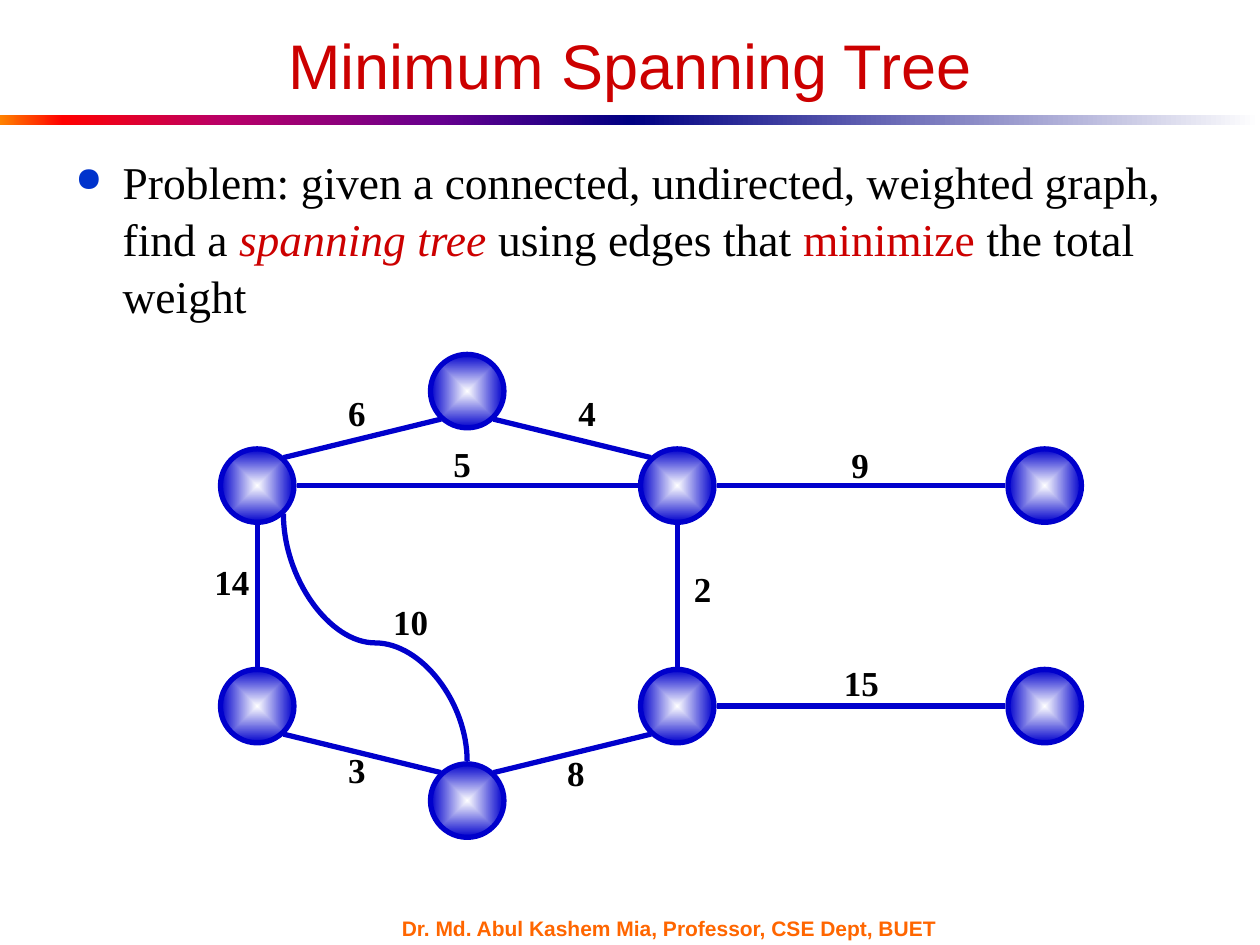
"""Build a slide that states the minimum spanning tree problem on a weighted graph."""
from dataclasses import dataclass
from typing import NamedTuple

from lxml.etree import SubElement
from pptx import Presentation
from pptx.dml.color import RGBColor
from pptx.enum.shapes import MSO_CONNECTOR, MSO_SHAPE
from pptx.enum.text import MSO_ANCHOR, PP_ALIGN
from pptx.oxml import parse_xml
from pptx.oxml.ns import nsdecls, qn
from pptx.shapes.autoshape import Shape
from pptx.shapes.connector import Connector
from pptx.slide import Slide
from pptx.text.text import TextFrame, _Paragraph
from pptx.util import Pt


@dataclass(frozen=True)
class Theme:
    graph: str = "0000CC"
    accent: str = "CC0000"
    text: str = "000000"
    bullet: str = "0033CC"
    footer: str = "FF6600"
    heading_font: str = "Arial"
    body_font: str = "Times New Roman"
    title_size: float = 36
    body_size: float = 26
    label_size: float = 20
    footer_size: float = 12
    line_width: float = 3


class Box(NamedTuple):
    left: float
    top: float
    width: float
    height: float


class Node(NamedTuple):
    x: float
    y: float


class Edge(NamedTuple):
    start: str
    end: str


class Weight(NamedTuple):
    text: str
    x: float
    y: float


class Stop(NamedTuple):
    percent: int
    color: str


class Phrase(NamedTuple):
    text: str
    color: str
    italic: bool = False


THEME = Theme()
DIAMETER = 42
REACH = 22.5
DIAGONAL_X, DIAGONAL_Y = 15, 16

LEFT, MIDDLE, RIGHT, FAR = 147, 267, 387, 597
UPPER, LOWER = 277.5, 403.5
NODES = {
    "upper left": Node(LEFT, UPPER),
    "upper right": Node(RIGHT, UPPER),
    "upper far": Node(FAR, UPPER),
    "lower left": Node(LEFT, LOWER),
    "lower right": Node(RIGHT, LOWER),
    "lower far": Node(FAR, LOWER),
    "bottom": Node(MIDDLE, LOWER + 54),
    "top": Node(MIDDLE, UPPER - 54),
}
EDGES = [
    Edge("top", "upper right"),
    Edge("top", "upper left"),
    Edge("upper left", "upper right"),
    Edge("lower left", "upper left"),
    Edge("lower left", "bottom"),
    Edge("bottom", "lower right"),
    Edge("lower right", "upper right"),
    Edge("upper right", "upper far"),
    Edge("lower right", "lower far"),
]
WEIGHTS = [
    Weight("14", 132.5, 332.3),
    Weight("10", 234.7, 355.3),
    Weight("3", 204, 439.5),
    Weight("6", 204, 235.5),
    Weight("4", 335.5, 235.5),
    Weight("5", 264, 264.6),
    Weight("2", 401.5, 336),
    Weight("9", 491.5, 265.3),
    Weight("15", 492.3, 390),
    Weight("8", 329, 441.7),
]
RAINBOW = [Stop(0, "FF8200"), Stop(10, "FF0000"), Stop(35, "BA0066"), Stop(70, "66008F"), Stop(100, "000082")]
FADE = [Stop(0, "000082"), Stop(100, "FFFFFF")]
GLOW = [Stop(0, "FFFFFF"), Stop(100, THEME.graph)]
LINEAR = '<a:lin ang="0" scaled="1"/>'
CENTERED = '<a:path path="shape"><a:fillToRect l="50000" t="50000" r="50000" b="50000"/></a:path>'
PROBLEM = [
    Phrase("Problem: given a connected, undirected, weighted graph, find a ", THEME.text),
    Phrase("spanning tree", THEME.accent, True),
    Phrase(" using edges that ", THEME.text),
    Phrase("minimize", THEME.accent),
    Phrase(" the total weight", THEME.text),
]


def add_gradient_shape(slide: Slide, kind: MSO_SHAPE, box: Box, stops: list[Stop], direction: str) -> Shape:
    """Add a preset shape with a gradient fill and no shadow."""
    shape = slide.shapes.add_shape(kind, *map(Pt, box))
    shape.shadow.inherit = False
    shape.line.fill.background()
    colors = "".join(
        f'<a:gs pos="{stop.percent * 1000}"><a:srgbClr val="{stop.color}"/></a:gs>' for stop in stops
    )
    gradient = f'<a:gradFill {nsdecls("a")} rotWithShape="1"><a:gsLst>{colors}</a:gsLst>{direction}</a:gradFill>'
    shape.element.spPr.find(qn("a:prstGeom")).addnext(parse_xml(gradient))
    return shape


def add_node(slide: Slide, node: Node) -> None:
    """Add a round graph node around its centre."""
    box = Box(node.x - DIAMETER / 2, node.y - DIAMETER / 2, DIAMETER, DIAMETER)
    shape = add_gradient_shape(slide, MSO_SHAPE.OVAL, box, GLOW, CENTERED)
    shape.line.color.rgb = RGBColor.from_string(THEME.graph)
    shape.line.width = Pt(THEME.line_width)


def add_line(slide: Slide, kind: MSO_CONNECTOR, start: Node, end: Node) -> Connector:
    """Add a connector in the graph colour without a shadow."""
    connector = slide.shapes.add_connector(kind, *map(Pt, (*start, *end)))
    connector.line.color.rgb = RGBColor.from_string(THEME.graph)
    connector.line.width = Pt(THEME.line_width)
    SubElement(connector.element.spPr, qn("a:effectLst"))
    return connector


def add_edge(slide: Slide, start: Node, end: Node) -> None:
    """Join two nodes with a straight line between their outlines."""
    across = (end.x > start.x) - (end.x < start.x)
    down = (end.y > start.y) - (end.y < start.y)
    diagonal = across and down
    step_x = across * (DIAGONAL_X if diagonal else REACH)
    step_y = down * (DIAGONAL_Y if diagonal else REACH)
    add_line(slide, MSO_CONNECTOR.STRAIGHT, Node(start.x + step_x, start.y + step_y),
             Node(end.x - step_x, end.y - step_y))


def add_curve(slide: Slide, upper: Node, lower: Node) -> None:
    """Join a node to a lower one with an S-curve that is vertical at both ends."""
    start = Node(lower.x, lower.y - REACH)
    end = Node(upper.x + DIAGONAL_X, upper.y + DIAGONAL_Y)
    center_x, center_y = (start.x + end.x) / 2, (start.y + end.y) / 2
    half_length, half_breadth = (start.y - end.y) / 2, (start.x - end.x) / 2
    curve = add_line(slide, MSO_CONNECTOR.CURVE, Node(center_x + half_length, center_y - half_breadth),
                     Node(center_x - half_length, center_y + half_breadth))
    curve.element.spPr.find(qn("a:xfrm")).set("rot", "5400000")
    adjustments = curve.element.spPr.find(qn("a:prstGeom")).get_or_add_avLst()
    SubElement(adjustments, qn("a:gd"), name="adj1", fmla="val 47800")


def add_text_frame(slide: Slide, box: Box, wrap: bool, anchor: MSO_ANCHOR) -> TextFrame:
    """Add a text box and return its frame."""
    frame = slide.shapes.add_textbox(*map(Pt, box)).text_frame
    frame.word_wrap = wrap
    frame.vertical_anchor = anchor
    return frame


def set_font(paragraph: _Paragraph, name: str, size: float, color: str, bold: bool = False) -> None:
    """Set the font shared by all runs of a paragraph."""
    paragraph.font.name = name
    paragraph.font.size = Pt(size)
    paragraph.font.bold = bold
    paragraph.font.color.rgb = RGBColor.from_string(color)


def add_label(slide: Slide, box: Box, text: str, align: PP_ALIGN, name: str, size: float, color: str,
              bold: bool = True) -> None:
    """Add one line of text centred vertically in its box."""
    paragraph = add_text_frame(slide, box, False, MSO_ANCHOR.MIDDLE).paragraphs[0]
    paragraph.text = text
    paragraph.alignment = align
    set_font(paragraph, name, size, color, bold)


def add_problem(slide: Slide, box: Box) -> None:
    """Add the bulleted problem statement."""
    paragraph = add_text_frame(slide, box, True, MSO_ANCHOR.TOP).paragraphs[0]
    paragraph.line_spacing = 1.05
    paragraph.space_before = Pt(2)
    properties = paragraph._p.get_or_add_pPr()
    properties.set("marL", str(Pt(27)))
    properties.set("indent", str(Pt(-27)))
    SubElement(SubElement(properties, qn("a:buClr")), qn("a:srgbClr"), val=THEME.bullet)
    SubElement(properties, qn("a:buSzPct"), val="75000")
    SubElement(properties, qn("a:buChar"), char="●")
    set_font(paragraph, THEME.body_font, THEME.body_size, THEME.text)
    for phrase in PROBLEM:
        run = paragraph.add_run()
        run.text = phrase.text
        run.font.italic = phrase.italic
        run.font.color.rgb = RGBColor.from_string(phrase.color)


def main() -> None:
    """Build and save the slide."""
    presentation = Presentation()
    presentation.slide_width, presentation.slide_height = Pt(720), Pt(540)
    slide = presentation.slides.add_slide(presentation.slide_layouts[6])
    for left, stops in ((0, RAINBOW), (360, FADE)):
        add_gradient_shape(slide, MSO_SHAPE.RECTANGLE, Box(left, 65.6, 360, 6), stops, LINEAR)
    add_label(slide, Box(222.5, 524, 336, 13), "Dr. Md. Abul Kashem Mia, Professor, CSE Dept, BUET",
              PP_ALIGN.LEFT, THEME.heading_font, THEME.footer_size, THEME.footer)
    add_label(slide, Box(36, 18, 648, 37), "Minimum Spanning Tree", PP_ALIGN.CENTER,
              THEME.heading_font, THEME.title_size, THEME.accent, False)
    add_problem(slide, Box(36, 82.8, 648, 342))
    for node in NODES.values():
        add_node(slide, node)
    for edge in EDGES:
        add_edge(slide, NODES[edge.start], NODES[edge.end])
    add_curve(slide, NODES["upper left"], NODES["bottom"])
    for weight in WEIGHTS:
        width = 14.4 + 10 * len(weight.text)
        add_label(slide, Box(weight.x - width / 2, weight.y - 15.5, width, 31), weight.text, PP_ALIGN.CENTER,
                  THEME.body_font, THEME.label_size, THEME.text)
    presentation.save("out.pptx")


if __name__ == "__main__":
    main()
